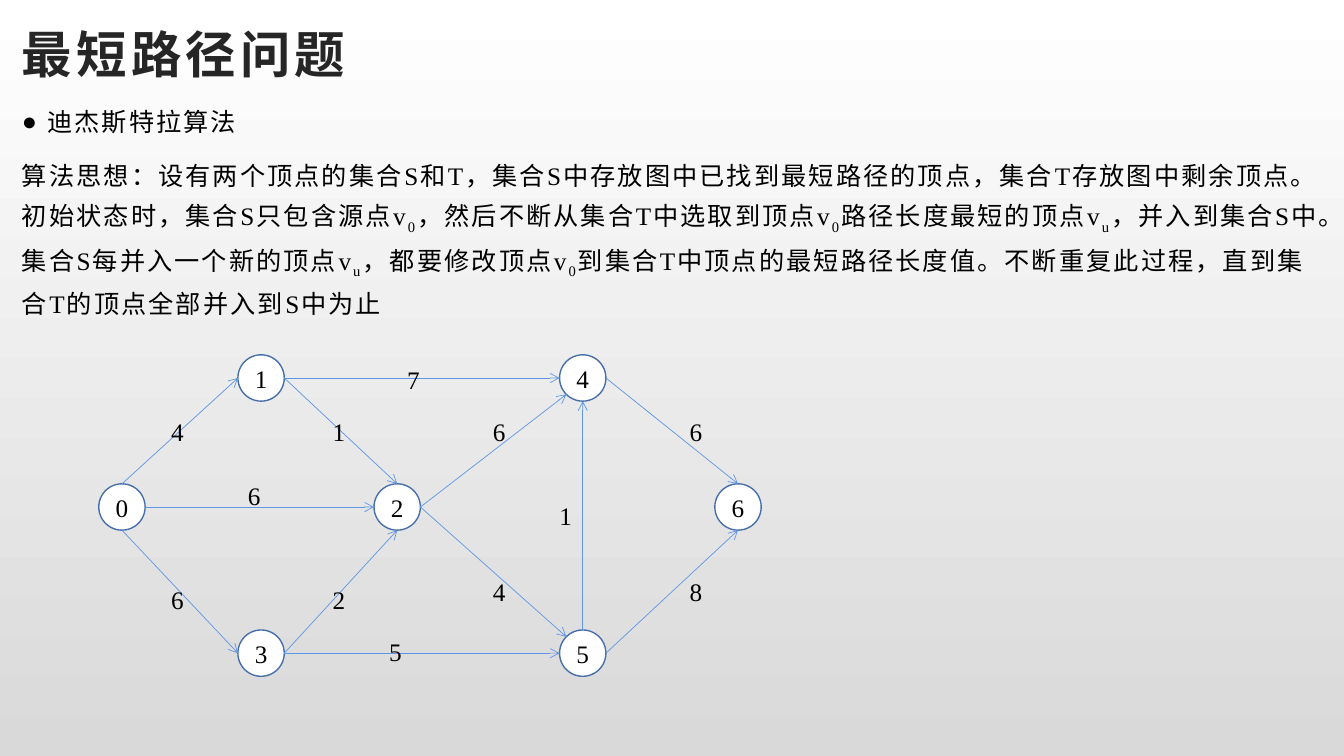
"""Build a slide on Dijkstra's algorithm with a weighted directed graph."""
from dataclasses import dataclass

import lxml.etree
import pptx
import pptx.dml.color
import pptx.enum.shapes
import pptx.enum.text
import pptx.oxml.ns
import pptx.util
from pptx.util import Inches

WHITE = pptx.dml.color.RGBColor(0xFF, 0xFF, 0xFF)
GRAY = pptx.dml.color.RGBColor(0xD9, 0xD9, 0xD9)
BLACK = pptx.dml.color.RGBColor(0x00, 0x00, 0x00)
TITLE_COLOR = pptx.dml.color.RGBColor(0x26, 0x26, 0x26)
NODE_LINE = pptx.dml.color.RGBColor(0x47, 0x6F, 0xAA)
EDGE_LINE = pptx.dml.color.RGBColor(0x60, 0x96, 0xE6)

CJK_FONT = "Noto Sans CJK SC"
BODY_FONT = "Times New Roman"
DIAMETER = 0.46
DIAGONAL = 0.5 ** 0.5
SIDES = {
    "top": (0, -1),
    "bottom": (0, 1),
    "left": (-1, 0),
    "right": (1, 0),
    "top left": (-DIAGONAL, -DIAGONAL),
    "bottom left": (-DIAGONAL, DIAGONAL),
}
TOP_ROW, MIDDLE_ROW, BOTTOM_ROW = 3.52, 4.8, 6.25

IDEA = (
    "算法思想：设有两个顶点的集合S和T，集合S中存放图中已找到最短路径的顶点，"
    "集合T存放图中剩余顶点。初始状态时，集合S只包含源点v|0|，然后不断从集合T中选取到顶点v|0|"
    "路径长度最短的顶点v|u|，并入到集合S中。集合S每并入一个新的顶点v|u|，都要修改顶点v|0|"
    "到集合T中顶点的最短路径长度值。不断重复此过程，直到集合T的顶点全部并入到S中为止"
)


@dataclass
class Node:
    left: float
    top: float

    def point(self, side: str) -> tuple[float, float]:
        across, down = SIDES[side]
        radius = DIAMETER / 2
        return self.left + radius * (1 + across), self.top + radius * (1 + down)


@dataclass
class Edge:
    start: int
    start_side: str
    end: int
    end_side: str
    weight: int
    label_left: float
    label_top: float


NODES = [
    Node(0.98, MIDDLE_ROW),
    Node(2.36, TOP_ROW),
    Node(3.71, MIDDLE_ROW),
    Node(2.36, BOTTOM_ROW),
    Node(5.55, TOP_ROW),
    Node(5.55, BOTTOM_ROW),
    Node(7.09, MIDDLE_ROW),
]

EDGES = [
    Edge(0, "top", 1, "left", 4, 1.6, 4.08),
    Edge(0, "right", 2, "left", 6, 2.36, 4.72),
    Edge(1, "right", 2, "top", 1, 3.2, 4.08),
    Edge(0, "bottom", 3, "left", 6, 1.6, 5.75),
    Edge(3, "right", 2, "bottom", 2, 3.2, 5.75),
    Edge(1, "right", 4, "left", 7, 3.94, 3.57),
    Edge(2, "right", 4, "bottom left", 6, 4.79, 4.08),
    Edge(3, "right", 5, "left", 5, 3.76, 6.26),
    Edge(2, "right", 5, "top left", 4, 4.79, 5.67),
    Edge(5, "top", 4, "bottom", 1, 5.45, 4.91),
    Edge(4, "right", 6, "top", 6, 6.74, 4.08),
    Edge(5, "right", 6, "bottom", 8, 6.74, 5.67),
]


def add_element(parent, tag: str, **attributes: str):
    element = lxml.etree.SubElement(parent, pptx.oxml.ns.qn(tag))
    for name, value in attributes.items():
        element.set(name, value)
    return element


def style(paragraph, size: float = 18, name: str = BODY_FONT,
          color=BLACK, spacing: float = 0) -> None:
    font = paragraph.font
    font.size = pptx.util.Pt(size)
    font.name = name
    font.color.rgb = color
    defaults = paragraph._p.pPr.find(pptx.oxml.ns.qn("a:defRPr"))
    add_element(defaults, "a:ea", typeface=CJK_FONT)
    if spacing:
        defaults.set("spc", str(int(spacing * 100)))


def add_text_box(page, left: float, top: float, width: float, height: float):
    box = page.shapes.add_textbox(Inches(left), Inches(top), Inches(width), Inches(height))
    box.text_frame.word_wrap = True
    return box.text_frame


def add_title(page) -> None:
    frame = add_text_box(page, 0.12, 0.14, 12, 0.77)
    frame.vertical_anchor = pptx.enum.text.MSO_ANCHOR.MIDDLE
    paragraph = frame.paragraphs[0]
    paragraph.text = "最短路径问题"
    style(paragraph, 36, CJK_FONT, TITLE_COLOR, 3)
    paragraph.font.bold = True


def add_body(page) -> None:
    frame = add_text_box(page, 0.12, 0.92, 13.13, 6.51)
    heading, idea = frame.paragraphs[0], frame.add_paragraph()
    heading.text = "迪杰斯特拉算法"
    for position, text in enumerate(IDEA.split("|")):
        span = idea.add_run()
        span.text = text
        if position % 2:
            span._r.get_or_add_rPr().set("baseline", "-25000")
    for paragraph in (heading, idea):
        paragraph.line_spacing = 1.3
        paragraph.space_after = pptx.util.Pt(10)
    properties = heading._p.get_or_add_pPr()
    properties.set("marL", str(Inches(0.25)))
    properties.set("indent", str(Inches(-0.25)))
    add_element(properties, "a:buFont", typeface="Arial")
    add_element(properties, "a:buChar", char="●")
    for paragraph in (heading, idea):
        style(paragraph, spacing=1.5)


def add_node(page, number: int, node: Node) -> None:
    circle = page.shapes.add_shape(
        pptx.enum.shapes.MSO_SHAPE.OVAL,
        Inches(node.left), Inches(node.top), Inches(DIAMETER), Inches(DIAMETER))
    circle.shadow.inherit = False
    circle.fill.solid()
    circle.fill.fore_color.rgb = WHITE
    circle.line.color.rgb = NODE_LINE
    circle.line.width = pptx.util.Pt(1)
    frame = circle.text_frame
    frame.margin_left = frame.margin_right = frame.margin_top = frame.margin_bottom = 0
    frame.vertical_anchor = pptx.enum.text.MSO_ANCHOR.MIDDLE
    paragraph = frame.paragraphs[0]
    paragraph.text = str(number)
    paragraph.alignment = pptx.enum.text.PP_ALIGN.CENTER
    style(paragraph)


def add_edge(page, edge: Edge) -> None:
    begin = NODES[edge.start].point(edge.start_side)
    finish = NODES[edge.end].point(edge.end_side)
    arrow = page.shapes.add_connector(
        pptx.enum.shapes.MSO_CONNECTOR.STRAIGHT,
        *(Inches(value) for value in begin + finish))
    arrow.line.color.rgb = EDGE_LINE
    arrow.line.width = pptx.util.Pt(0.5)
    add_element(arrow.line._get_or_add_ln(), "a:tailEnd", type="arrow")
    add_element(arrow._element.spPr, "a:effectLst")


def add_weight(page, edge: Edge) -> None:
    frame = add_text_box(page, edge.label_left, edge.label_top, 0.35, 0.4)
    frame.auto_size = pptx.enum.text.MSO_AUTO_SIZE.SHAPE_TO_FIT_TEXT
    paragraph = frame.paragraphs[0]
    paragraph.text = str(edge.weight)
    style(paragraph)


def main() -> None:
    deck = pptx.Presentation()
    deck.slide_width, deck.slide_height = Inches(13.33), Inches(7.5)
    page = deck.slides.add_slide(deck.slide_layouts[6])
    backdrop = page.background.fill
    backdrop.gradient()
    backdrop.gradient_angle = 270
    for stop, color in zip(backdrop.gradient_stops, (WHITE, GRAY)):
        stop.color.rgb = color
    add_title(page)
    add_body(page)
    for number, node in enumerate(NODES):
        add_node(page, number, node)
    for edge in EDGES:
        add_edge(page, edge)
    for edge in EDGES:
        add_weight(page, edge)
    deck.save("out.pptx")


if __name__ == "__main__":
    main()
